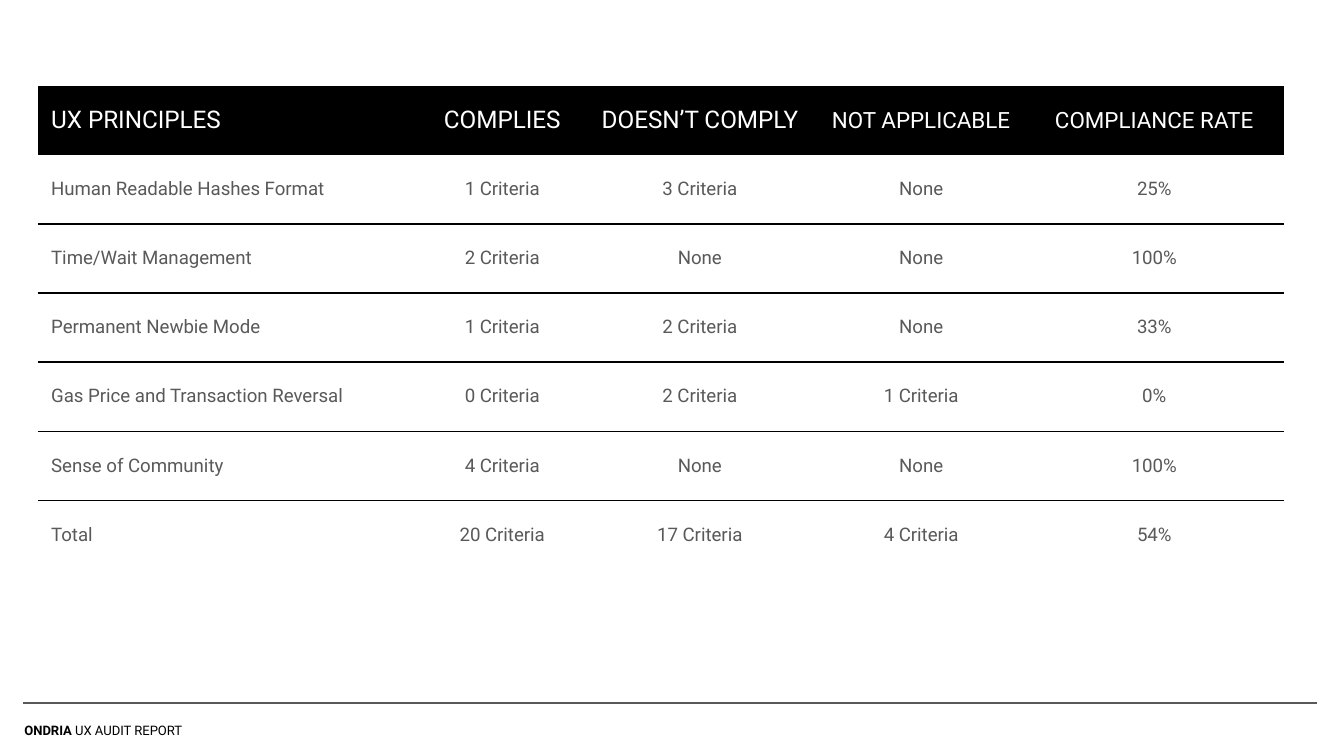
from lxml import etree
from pptx import Presentation
from pptx.dml.color import RGBColor
from pptx.enum.shapes import MSO_CONNECTOR
from pptx.enum.text import MSO_ANCHOR, PP_ALIGN
from pptx.oxml.ns import qn
from pptx.util import Pt

BLACK = RGBColor(0x00, 0x00, 0x00)
WHITE = RGBColor(0xFF, 0xFF, 0xFF)
GRAY = RGBColor(0x59, 0x59, 0x59)
FONT = "Roboto"

# Content
HEADERS = [("UX PRINCIPLES", 13), ("COMPLIES", 13), ("DOESN’T COMPLY", 13),
           ("NOT APPLICABLE", 12), ("COMPLIANCE RATE", 12)]
ROWS = [
    ("Human Readable Hashes Format", "1 Criteria", "3 Criteria", "None", "25%"),
    ("Time/Wait Management", "2 Criteria", "None", "None", "100%"),
    ("Permanent Newbie Mode", "1 Criteria", "2 Criteria", "None", "33%"),
    ("Gas Price and Transaction Reversal", "0 Criteria", "2 Criteria", "1 Criteria", "0%"),
    ("Sense of Community", "4 Criteria", "None", "None", "100%"),
    ("Total", "20 Criteria", "17 Criteria", "4 Criteria", "54%"),
]
FOOTER = [("ONDRIA ", True), ("UX AUDIT REPORT", False)]

# Table geometry
LEFT, TOP, ROW_H = 20.2, 46, 37
COL_W = [206, 85.7, 126, 111.2, 138.6]


def add_run(p, text, size, color, bold=False):
    r = p.add_run()
    r.text = text
    r.font.name, r.font.size, r.font.bold = FONT, Pt(size), bold
    r.font.color.rgb = color


def set_borders(cell, ruled):
    """Rule the given sides ("T", "B") in black and clear the others."""
    tc_pr = cell._tc.get_or_add_tcPr()
    for i, side in enumerate("LRTB"):
        ln = etree.Element(qn(f"a:ln{side}"), w=str(Pt(0.75)))
        if side in ruled:
            fill = etree.SubElement(ln, qn("a:solidFill"))
            etree.SubElement(fill, qn("a:srgbClr"), val=str(BLACK))
        else:
            etree.SubElement(ln, qn("a:noFill"))
        tc_pr.insert(i, ln)


def fill_cell(cell, text, size, col, header):
    pad_x = 7.2 if header or col == 0 else 0
    pad_y = 5 if header else 0
    cell.margin_left = cell.margin_right = Pt(pad_x)
    cell.margin_top = cell.margin_bottom = Pt(pad_y)
    cell.vertical_anchor = MSO_ANCHOR.MIDDLE
    if header:
        cell.fill.solid()
        cell.fill.fore_color.rgb = BLACK
    else:
        cell.fill.background()
    p = cell.text_frame.paragraphs[0]
    p.alignment = PP_ALIGN.LEFT if col == 0 else PP_ALIGN.CENTER
    add_run(p, text, size, WHITE if header else GRAY)


prs = Presentation()
prs.slide_width, prs.slide_height = Pt(720), Pt(405)
s = prs.slides.add_slide(prs.slide_layouts[6])

# Footer text and rule
tb = s.shapes.add_textbox(Pt(6), Pt(376.6), Pt(149), Pt(23))
tf = tb.text_frame
tf.word_wrap = True
tf.margin_left = tf.margin_right = tf.margin_top = tf.margin_bottom = Pt(7.2)
p = tf.paragraphs[0]
p.line_spacing = 1.5
for text, bold in FOOTER:
    add_run(p, text, 7, BLACK, bold)

rule = s.shapes.add_connector(MSO_CONNECTOR.STRAIGHT, Pt(12.3), Pt(376.6), Pt(705.6), Pt(376.6))
rule.line.color.rgb = GRAY
rule.line.width = Pt(0.75)
etree.SubElement(rule._element.spPr, qn("a:effectLst"))

# Compliance table
grid = [HEADERS] + [[(text, 10) for text in row] for row in ROWS]
last = len(grid) - 1
table = s.shapes.add_table(len(grid), len(COL_W), Pt(LEFT), Pt(TOP),
                           Pt(sum(COL_W)), Pt(ROW_H * len(grid))).table
table.first_row = table.horz_banding = False
for column, width in zip(table.columns, COL_W):
    column.width = Pt(width)
for i, row in enumerate(grid):
    table.rows[i].height = Pt(ROW_H)
    ruled = ("T" if i > 1 else "") + ("B" if 0 < i < last else "")
    for j, (text, size) in enumerate(row):
        cell = table.cell(i, j)
        fill_cell(cell, text, size, j, header=i == 0)
        set_borders(cell, ruled)

prs.save("out.pptx")
